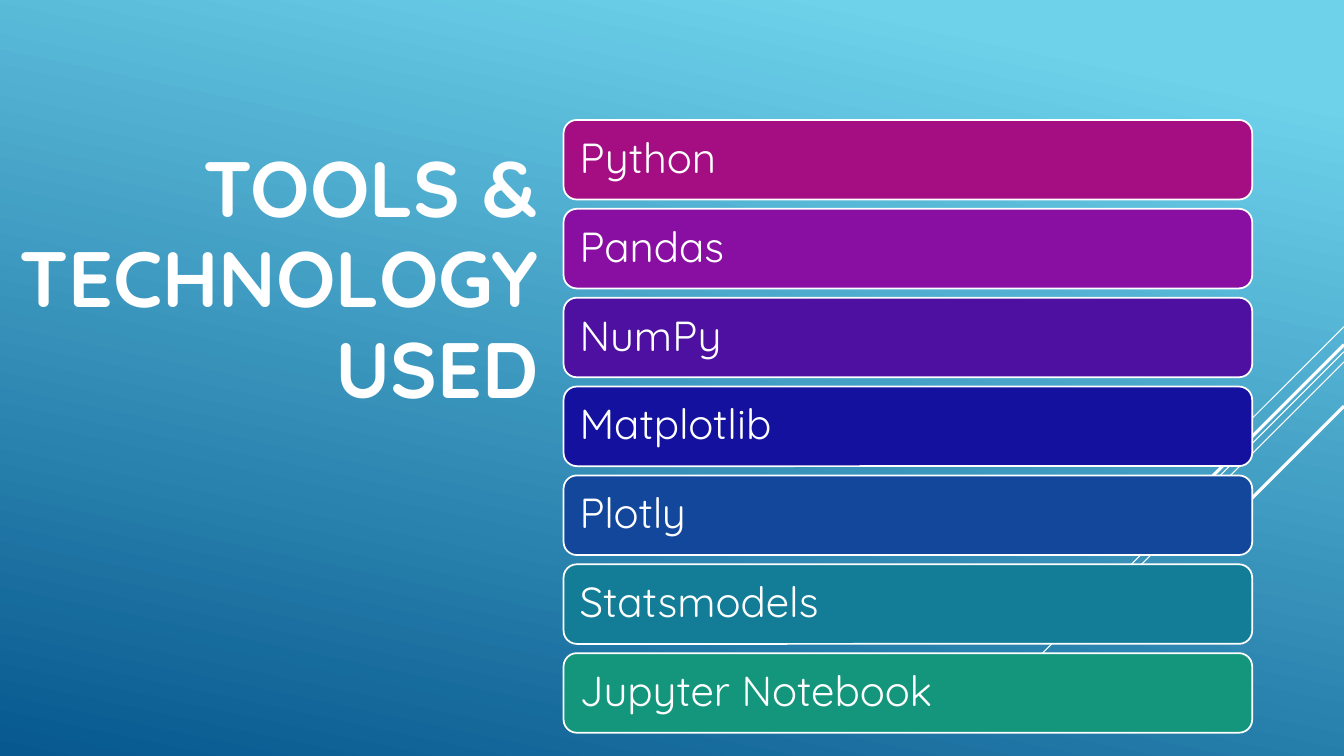
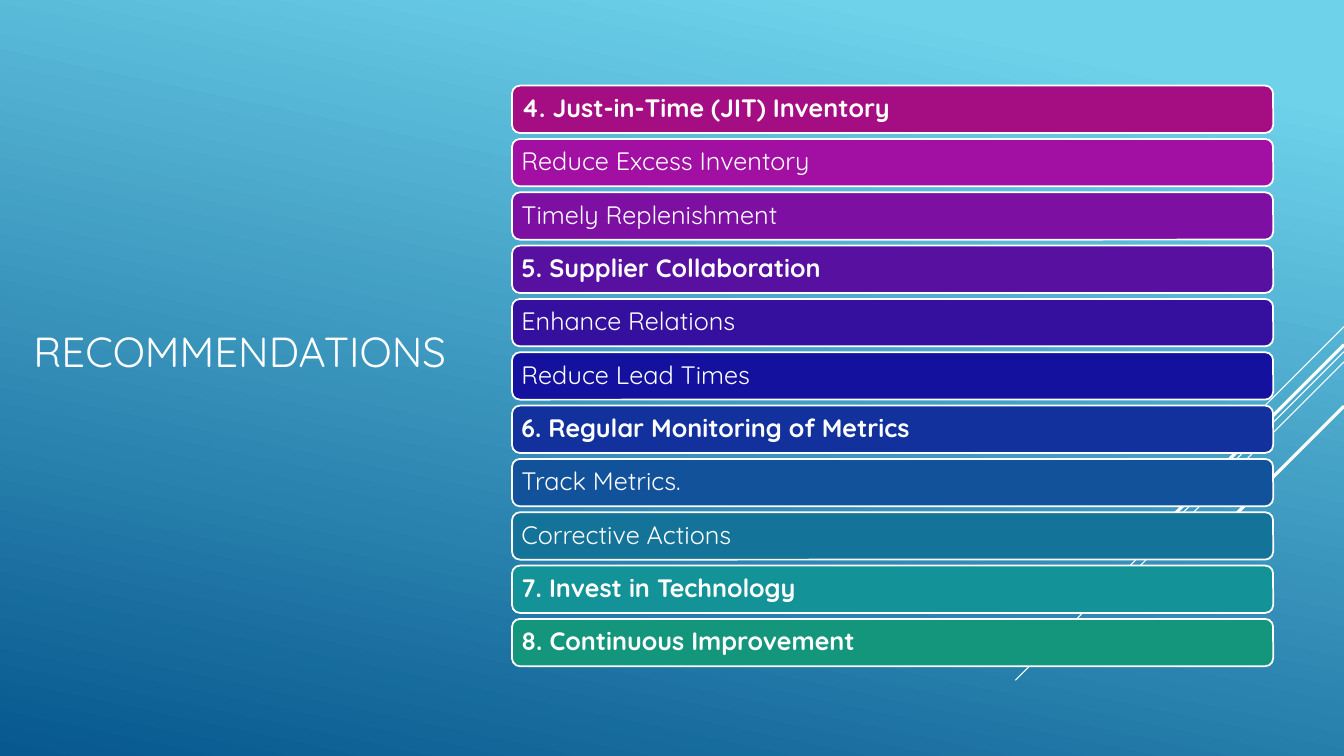
import colorsys
from dataclasses import dataclass
from typing import Any

import lxml.etree
import pptx
import pptx.dml.color
import pptx.enum.shapes
import pptx.enum.text
import pptx.oxml.ns
import pptx.util

COLORS = {
    "sky": "6ED2EB",
    "deep": "06588E",
    "white": "FFFFFF",
    "first_bar": "A50E82",
    "last_bar": "14967C",
}
FONT = "Quicksand"
WIDTH = pptx.util.Inches(13.33)
HEIGHT = pptx.util.Inches(7.5)
ALIGN = pptx.enum.text.PP_ALIGN
TITLE_FRAME = {
    "word_wrap": True,
    "auto_size": pptx.enum.text.MSO_AUTO_SIZE.NONE,
    "vertical_anchor": pptx.enum.text.MSO_ANCHOR.MIDDLE,
}


# Positions and sizes are percentages of the slide's width and height.
@dataclass(frozen=True)
class Box:
    left: float
    top: float
    width: float
    height: float


@dataclass(frozen=True)
class Ray:
    top: float
    run: float
    weight: float


@dataclass(frozen=True)
class Title:
    text: str
    box: Box
    size: int
    bold: bool
    alignment: Any
    margin_bottom: float


@dataclass(frozen=True)
class BarList:
    first: Box
    last_top: float
    size: int
    margin: float
    labels: tuple[str, ...]


RAYS = (
    Ray(43.2, 7.5, 0.75),
    Ray(46.53, 24.45, 0.75),
    Ray(47.87, 15.55, 0.75),
    Ray(45.6, 14.33, 2.25),
    Ray(53.73, 10.43, 2.25),
)

CONTENT = (
    (
        Title("TOOLS & TECHNOLOGY USED", Box(-0.53, -3.6, 41.33, 81.47),
              56, True, ALIGN.RIGHT, 0.05),
        BarList(Box(41.93, 15.87, 51.24, 10.53), 86.4, 30, 0.12, (
            "Python", "Pandas", "NumPy", "Matplotlib", "Plotly",
            "Statsmodels", "Jupyter Notebook",
        )),
    ),
    (
        Title("RECOMMENDATIONS", Box(1.73, 9.33, 34.2, 81.47),
              30, False, ALIGN.LEFT, 0.55),
        BarList(Box(38.1, 11.33, 56.63, 6.27), 81.87, 18, 0.07, (
            "4. Just-in-Time (JIT) Inventory",
            "Reduce Excess Inventory",
            "Timely Replenishment",
            "5. Supplier Collaboration",
            "Enhance Relations",
            "Reduce Lead Times",
            "6. Regular Monitoring of Metrics",
            "Track Metrics.",
            "Corrective Actions",
            "7. Invest in Technology",
            "8. Continuous Improvement",
        )),
    ),
)


def across(percent: float) -> int:
    return round(WIDTH * percent / 100)


def down(percent: float) -> int:
    return round(HEIGHT * percent / 100)


def rgb(value: str) -> pptx.dml.color.RGBColor:
    return pptx.dml.color.RGBColor.from_string(value)


def apply(target: Any, values: dict[str, Any]) -> None:
    for name, value in values.items():
        setattr(target, name, value)


def bounds(box: Box) -> dict[str, int]:
    return {
        "left": across(box.left),
        "top": down(box.top),
        "width": across(box.width),
        "height": down(box.height),
    }


def write(shape: Any, text: str, size: int, bold: bool,
          alignment: Any, spacing: float) -> None:
    paragraph = shape.text_frame.paragraphs[0]
    apply(paragraph, {"alignment": alignment, "line_spacing": spacing})
    run = paragraph.add_run()
    run.text = text
    apply(run.font, {"name": FONT, "size": pptx.util.Pt(size), "bold": bold})
    run.font.color.rgb = rgb(COLORS["white"])


def bar_color(share: float) -> str:
    """Blend hue, lightness and saturation from the first bar to the last."""
    first, last = (
        colorsys.rgb_to_hls(*(channel / 255 for channel in rgb(COLORS[name])))
        for name in ("first_bar", "last_bar")
    )
    blend = (start + (end - start) * share for start, end in zip(first, last))
    channels = colorsys.hls_to_rgb(*blend)
    return "".join(f"{round(channel * 255):02X}" for channel in channels)


# Shared background and diagonal rays
def paint_background(layout: Any) -> None:
    fill = layout.background.fill
    fill.gradient()
    fill.gradient_angle = 360 - 102
    for stop, position, name in zip(
            fill.gradient_stops, (0.1, 1), ("sky", "deep")):
        stop.position = position
        stop.color.rgb = rgb(COLORS[name])


def add_rays(slide: Any, layout: Any) -> None:
    """Draw the rays at 45 degrees and hand them to the shared layout."""
    for ray in RAYS:
        length = across(ray.run)
        connector = slide.shapes.add_connector(
            pptx.enum.shapes.MSO_CONNECTOR.STRAIGHT,
            WIDTH, down(ray.top), WIDTH - length, down(ray.top) + length)
        connector.line.color.rgb = rgb(COLORS["white"])
        connector.line.width = pptx.util.Pt(ray.weight)
        lxml.etree.SubElement(
            connector.element.spPr, pptx.oxml.ns.qn("a:effectLst"))
        layout.shapes.element.append(connector.element)


# Slide parts
def set_title(slide: Any, title: Title) -> None:
    shape = slide.shapes.title
    apply(shape, bounds(title.box))
    apply(shape.text_frame, TITLE_FRAME)
    shape.text_frame.margin_bottom = pptx.util.Inches(title.margin_bottom)
    write(shape, title.text, title.size, title.bold, title.alignment, 0.96)


def add_bars(slide: Any, bars: BarList) -> None:
    steps = len(bars.labels) - 1
    pitch = (bars.last_top - bars.first.top) / steps
    margin = pptx.util.Inches(bars.margin)
    for index, label in enumerate(bars.labels):
        box = Box(bars.first.left, bars.first.top + index * pitch,
                  bars.first.width, bars.first.height)
        shape = slide.shapes.add_shape(
            pptx.enum.shapes.MSO_SHAPE.ROUNDED_RECTANGLE,
            **bounds(box))
        shape.shadow.inherit = False
        shape.fill.solid()
        shape.fill.fore_color.rgb = rgb(bar_color(index / steps))
        shape.line.color.rgb = rgb(COLORS["white"])
        shape.line.width = pptx.util.Pt(1.25)
        apply(shape.text_frame, {
            "word_wrap": True,
            "vertical_anchor": pptx.enum.text.MSO_ANCHOR.MIDDLE,
            "margin_left": margin, "margin_right": margin,
            "margin_top": margin, "margin_bottom": margin,
        })
        # Numbered labels are headings
        write(shape, label, bars.size, label[0].isdigit(), ALIGN.LEFT, 0.9)


def main() -> None:
    presentation = pptx.Presentation()
    apply(presentation, {"slide_width": WIDTH, "slide_height": HEIGHT})
    layout = presentation.slide_layouts.get_by_name("Title Only")
    paint_background(layout)
    for index, (title, bars) in enumerate(CONTENT):
        slide = presentation.slides.add_slide(layout)
        if index == 0:
            add_rays(slide, layout)
        set_title(slide, title)
        add_bars(slide, bars)
    presentation.save("out.pptx")


if __name__ == "__main__":
    main()
